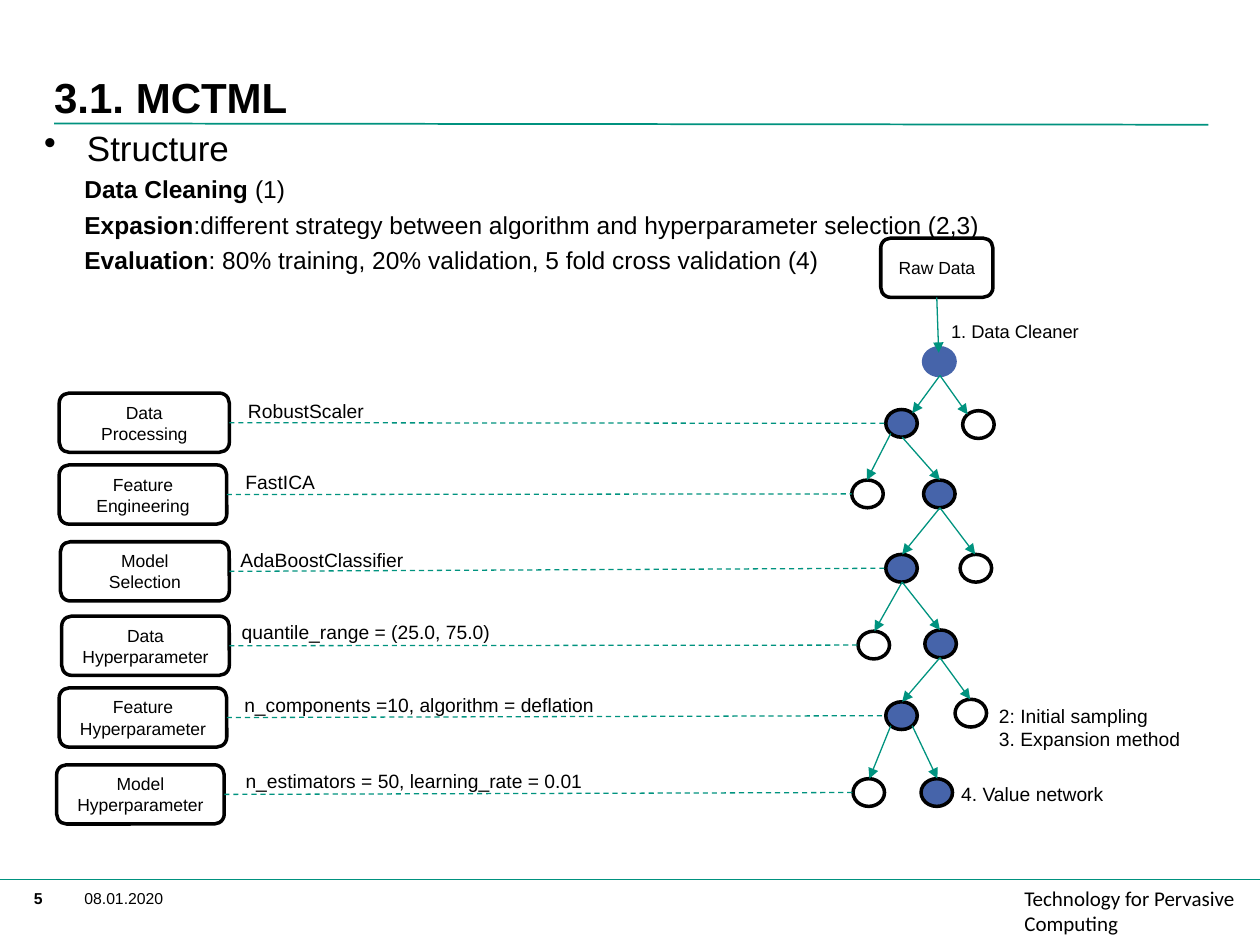
from dataclasses import dataclass
from enum import Enum
from typing import NamedTuple

from lxml import etree
from pptx import Presentation
from pptx import util as u
from pptx.dml.color import RGBColor
from pptx.enum import dml, shapes, text
from pptx.oxml import ns

PX = 9144  # EMU in one px, 100 px to the inch


@dataclass(frozen=True)
class Theme:
    font: str = "Arial"
    foot: str = "Calibri"
    ink: str = "000000"
    paper: str = "FFFFFF"
    blue: str = "4664AA"
    rule: str = "00927F"
    link: str = "00937F"
    title: float = 24
    head: float = 20
    body: float = 14
    group: float = 12
    label: float = 11
    step: float = 10.5
    box: float = 10
    small: float = 9


T = Theme()


class Para(NamedTuple):
    text: str
    lead: str = ""
    size: float = T.body
    bullet: bool = False


class Node(NamedTuple):
    x: int
    y: int
    fill: str = T.paper
    line: str = T.ink


class Row(NamedTuple):
    x: int
    y: int
    wide: int
    name: str
    note: str
    at: tuple[int, int, int]
    node: str
    wrap: bool = False


class Port(Enum):
    """Points on an ellipse, as parts of its half width and half height."""
    TOP = (0, -1)
    BASE = (0, 1)
    LEFT = (-1, 0)
    NE = (0.71, -0.71)
    NW = (-0.71, -0.71)
    SE = (0.71, 0.71)
    SW = (-0.71, 0.71)


BOX_H = 47
NODE_W, NODE_H = 25, 22

NODES = {
    "root": Node(733, 276, T.blue, T.blue),
    "1a": Node(703, 325, T.blue), "1b": Node(764, 326),
    "2a": Node(676, 381), "2b": Node(733, 381, T.blue),
    "3a": Node(703, 440, T.blue), "3b": Node(762, 440),
    "4a": Node(681, 501), "4b": Node(734, 500, T.blue),
    "5a": Node(703, 557, T.blue), "5b": Node(758, 555),
    "6a": Node(677, 618), "6b": Node(731, 618, T.blue),
}
EDGES = [
    ("root", Port.BASE, "1a", Port.NE), ("root", Port.BASE, "1b", Port.NW),
    ("1a", Port.SW, "2a", Port.TOP), ("1a", Port.BASE, "2b", Port.TOP),
    ("2b", Port.BASE, "3a", Port.TOP), ("2b", Port.BASE, "3b", Port.TOP),
    ("3a", Port.BASE, "4a", Port.TOP), ("3a", Port.BASE, "4b", Port.TOP),
    ("4b", Port.BASE, "5a", Port.TOP), ("4b", Port.BASE, "5b", Port.TOP),
    ("5a", Port.SW, "6a", Port.TOP), ("5a", Port.SE, "6b", Port.TOP),
]
ROWS = [
    Row(47, 312, 135, "Data\nProcessing", "RobustScaler", (187, 312, 220), "1a", True),
    Row(47, 369, 133, "Feature\nEngineering", "FastICA", (185, 368, 76), "2a"),
    Row(48, 430, 134, "Model\nSelection", "AdaBoostClassifier", (181, 430, 151), "3a"),
    Row(49, 489, 133, "Data Hyperparameter", "quantile_range = (25.0, 75.0)",
        (182, 487, 218), "4a"),
    Row(47, 546, 133, "Feature\nHyperparameter",
        "n_components =10, algorithm = deflation", (184, 545, 299), "5a"),
    Row(45, 607, 133, "Model Hyperparameter",
        "n_estimators = 50, learning_rate = 0.01", (185, 606, 289), "6a"),
]
BODY = [
    Para("Structure", size=T.head, bullet=True),
    Para("(1)", "Data Cleaning "),
    Para(":different strategy between algorithm and hyperparameter selection (2,3)",
         "Expasion"),
    Para(": 80% training, 20% validation, 5 fold cross validation (4)", "Evaluation"),
]


def rgb(code: str) -> RGBColor:
    return RGBColor.from_string(code)


def write(par, words: str, *, size: float, font: str = T.font, bold: bool = False) -> None:
    run = par.add_run()
    run.text = words
    run.font.size, run.font.name, run.font.bold = u.Pt(size), font, bold
    run.font.color.rgb = rgb(T.ink)


def lines(frame, words: str, *, align=text.PP_ALIGN.LEFT, **form) -> None:
    """Write one paragraph for each line of words."""
    for i, line in enumerate(words.split("\n")):
        par = frame.add_paragraph() if i else frame.paragraphs[0]
        par.alignment = align
        write(par, line, **form)


def area(slide, x: int, y: int, w: int, h: int, *, inset: bool = False,
         wrap: bool = True, low: bool = False):
    """Add an empty text box and give its text frame."""
    frame = slide.shapes.add_textbox(x * PX, y * PX, w * PX, h * PX).text_frame
    frame.word_wrap = wrap
    if inset:
        frame.auto_size = text.MSO_AUTO_SIZE.SHAPE_TO_FIT_TEXT
    else:
        frame.margin_left = frame.margin_right = 0
        frame.margin_top = frame.margin_bottom = 0
    if low:
        frame.vertical_anchor = text.MSO_ANCHOR.BOTTOM
    return frame


def shape(slide, kind, x: int, y: int, w: int, h: int, fill: str | None, line: str):
    item = slide.shapes.add_shape(kind, x * PX, y * PX, w * PX, h * PX)
    item.shadow.inherit = False
    if fill:
        item.fill.solid()
        item.fill.fore_color.rgb = rgb(fill)
    else:
        item.fill.background()
    item.line.color.rgb, item.line.width = rgb(line), u.Pt(2)
    return item


def box(slide, x: int, y: int, w: int, name: str, fill: str | None = None):
    item = shape(slide, shapes.MSO_SHAPE.ROUNDED_RECTANGLE, x, y, w, BOX_H, fill, T.ink)
    item.text_frame.vertical_anchor = text.MSO_ANCHOR.MIDDLE
    item.text_frame.word_wrap = True
    lines(item.text_frame, name, size=T.box, align=text.PP_ALIGN.CENTER)
    return item


def link(slide, start, end, *, color: str = T.link, width: float = 0.75,
         dash: bool = False, arrow: bool = False):
    item = slide.shapes.add_connector(
        shapes.MSO_CONNECTOR.STRAIGHT, *(v * PX for v in (*start, *end)))
    item.line.color.rgb, item.line.width = rgb(color), u.Pt(width)
    if dash:
        item.line.dash_style = dml.MSO_LINE.DASH
    if arrow:
        etree.SubElement(item.line._get_or_add_ln(), ns.qn("a:tailEnd"), type="triangle")
    etree.SubElement(item._element.spPr, ns.qn("a:effectLst"))
    return item


def port(key: str, side: Port) -> tuple[int, int]:
    node, (dx, dy) = NODES[key], side.value
    return (round(node.x + NODE_W / 2 * (1 + dx)), round(node.y + NODE_H / 2 * (1 + dy)))


def outline(slide) -> None:
    frame = area(slide, 35, 100, 914, 535)
    for i, item in enumerate(BODY):
        par = frame.add_paragraph() if i else frame.paragraphs[0]
        par.space_before = u.Pt(item.size / 4)
        prop = par._p.get_or_add_pPr()
        prop.set("marL", str((34 if item.bullet else 32) * PX))
        prop.set("indent", str(-34 * PX if item.bullet else 0))
        if item.bullet:
            etree.SubElement(prop, ns.qn("a:buChar"), char="•")
        if item.lead:
            write(par, item.lead, size=item.size, bold=True)
        write(par, item.text, size=item.size)


def frame_page(slide) -> None:
    """Draw the title, the rules and the footer."""
    lines(area(slide, 813, 703, 168, 42), "Technology for Pervasive Computing",
          size=T.group, font=T.foot)
    link(slide, (-1, 698), (1000, 698), color=T.rule, width=1)
    lines(area(slide, 27, 705, 36, 24), "5", size=T.small, bold=True)
    lines(area(slide, 67, 705, 94, 39), "08.01.2020", size=T.small)
    link(slide, (43, 98), (959, 99), color=T.rule, width=1)
    lines(area(slide, 43, 36, 756, 61, low=True), "3.1. MCTML", size=T.title, bold=True)


def tree(slide) -> None:
    raw = box(slide, 699, 189, 89, "Raw Data", T.paper)
    for node in NODES.values():
        shape(slide, shapes.MSO_SHAPE.OVAL, node.x, node.y, NODE_W, NODE_H,
              node.fill, node.line)
    link(slide, (743, 236), (745, 280), arrow=True).begin_connect(raw, 2)
    for src, out, dest, into in EDGES:
        link(slide, port(src, out), port(dest, into), arrow=True)
    for x, y, w, h, size, words in (
            (745, 249, 173, 45, T.step, "1. Data Cleaner"),
            (783, 554, 166, 47, T.label, "2: Initial sampling\n3. Expansion method"),
            (753, 616, 166, 29, T.label, "4. Value network")):
        lines(area(slide, x, y, w, h, inset=True), words, size=size)


def stage(slide, row: Row) -> None:
    item = box(slide, row.x, row.y, row.wide, row.name)
    start = (row.x + row.wide, row.y + BOX_H // 2)
    link(slide, start, port(row.node, Port.LEFT), dash=True).begin_connect(item, 3)
    lines(area(slide, *row.at, 29, inset=True, wrap=row.wrap), row.note, size=T.label)


def main() -> None:
    deck = Presentation()
    deck.slide_width, deck.slide_height = 1000 * PX, 750 * PX
    slide = deck.slides.add_slide(deck.slide_layouts[6])
    frame_page(slide)
    tree(slide)
    for row in ROWS:
        stage(slide, row)
    outline(slide)
    deck.save("out.pptx")


if __name__ == "__main__":
    main()
